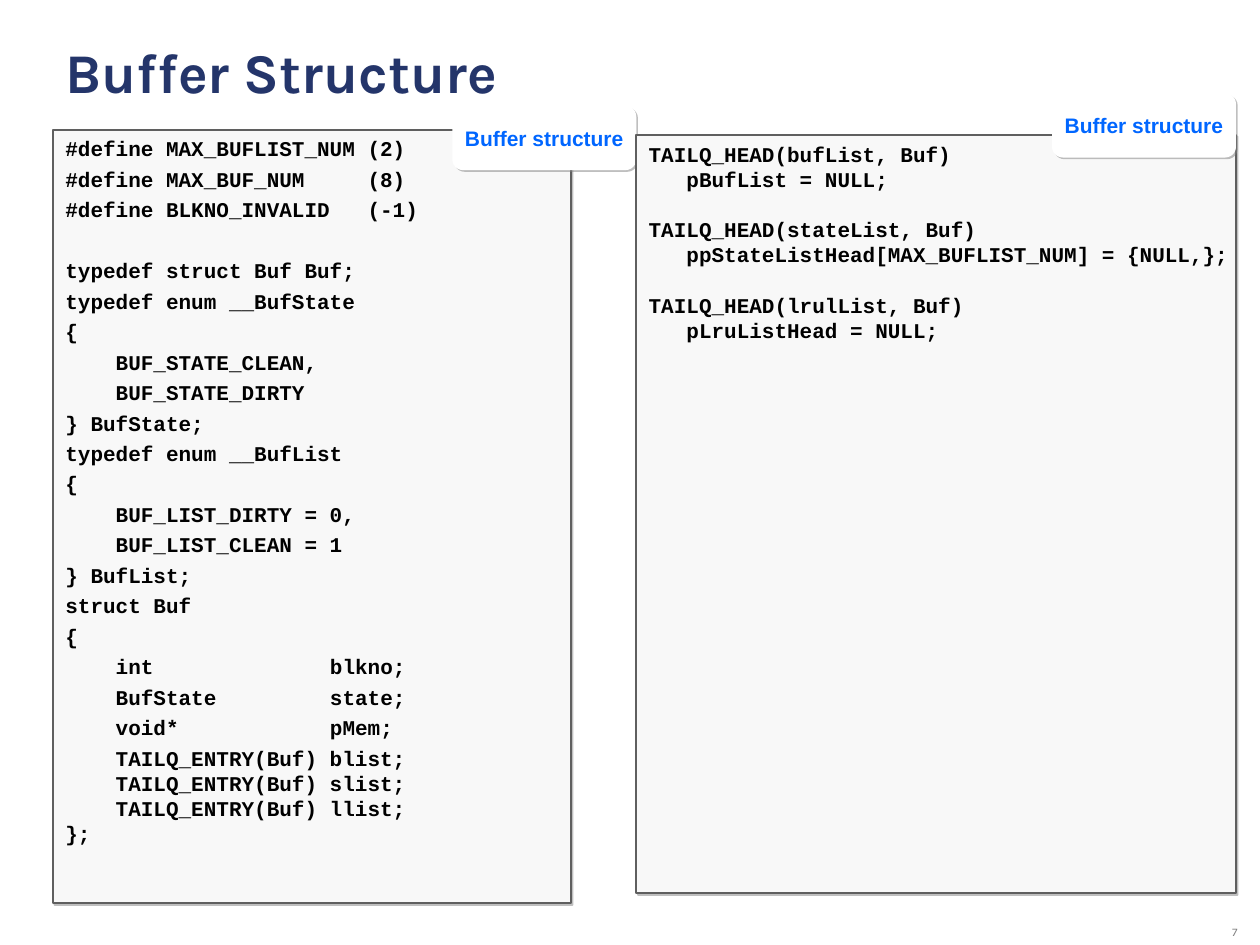
from lxml import etree
from pptx import Presentation
from pptx.dml.color import RGBColor
from pptx.enum.shapes import MSO_SHAPE
from pptx.enum.text import MSO_ANCHOR, PP_ALIGN
from pptx.oxml import parse_xml
from pptx.oxml.ns import nsdecls, qn
from pptx.util import Inches, Pt

COLOURS = {
    "title": "24356A", "code": "000000", "badge": "0066FF", "number": "808080",
    "panel": "F8F8F8", "border": "5F5F5F", "white": "FFFFFF", "shadow": "808080",
}
FORMATS = {
    "title": {"name": "Karla", "size": Pt(32), "bold": True},
    "code": {"name": "Courier New", "size": Pt(12), "bold": True},
    "badge": {"name": "Arial", "size": Pt(12), "bold": True},
    "number": {"name": "Karla", "size": Pt(6.6), "bold": False},
}
DEFINITIONS = """#define MAX_BUFLIST_NUM (2)
#define MAX_BUF_NUM     (8)
#define BLKNO_INVALID   (-1)

typedef struct Buf Buf;
typedef enum __BufState
{
    BUF_STATE_CLEAN,
    BUF_STATE_DIRTY
} BufState;
typedef enum __BufList
{
    BUF_LIST_DIRTY = 0,
    BUF_LIST_CLEAN = 1
} BufList;
struct Buf
{
    int \t\t blkno;
    BufState \t state;
    void*\t\t pMem;
    TAILQ_ENTRY(Buf) blist;
    TAILQ_ENTRY(Buf) slist;
    TAILQ_ENTRY(Buf) llist;
};"""
LIST_HEADS = """TAILQ_HEAD(bufList, Buf)
   pBufList = NULL;

TAILQ_HEAD(stateList, Buf)
   ppStateListHead[MAX_BUFLIST_NUM] = {NULL,};

TAILQ_HEAD(lrulList, Buf)
   pLruListHead = NULL;"""


class SlideBuilder:
    def __init__(self, presentation):
        self.slide = presentation.slides.add_slide(presentation.slide_layouts[5])

    def colour(self, name):
        return RGBColor.from_string(COLOURS[name])

    def add_text(self, paragraph, text, style):
        run = paragraph.add_run()
        run.text = text
        for name, value in FORMATS[style].items():
            setattr(run.font, name, value)
        run.font.color.rgb = self.colour(style)

    def title(self, text, left, top, width, height):
        shape = self.slide.shapes.title
        shape.left, shape.top = Inches(left), Inches(top)
        shape.width, shape.height = Inches(width), Inches(height)
        shape.text_frame.vertical_anchor = MSO_ANCHOR.TOP
        paragraph = shape.text_frame.paragraphs[0]
        paragraph.alignment = PP_ALIGN.LEFT
        self.add_text(paragraph, text, "title")

    def box(self, preset, fill, *bounds):
        shape = self.slide.shapes.add_shape(preset, *map(Inches, bounds))
        shape.fill.solid()
        shape.fill.fore_color.rgb = self.colour(fill)
        shape.line.fill.background()
        shape.shadow.inherit = False
        effects = shape._element.spPr.find(qn("a:effectLst"))
        effects.append(parse_xml(
            f'<a:outerShdw {nsdecls("a")} blurRad="0" dist="{Pt(1.4)}" dir="2700000" algn="ctr">'
            f'<a:srgbClr val="{COLOURS["shadow"]}"><a:alpha val="50000"/></a:srgbClr></a:outerShdw>'))
        shape.text_frame.word_wrap = False
        return shape

    def add_tabs(self, paragraph):
        tabs = etree.SubElement(paragraph._p.get_or_add_pPr(), qn("a:tabLst"))
        for inch in range(8):
            etree.SubElement(tabs, qn("a:tab"), pos=str(Inches(inch)), algn="l")

    def code(self, text, spaced_lines, *bounds):
        shape = self.box(MSO_SHAPE.RECTANGLE, "panel", *bounds)
        shape.line.color.rgb = self.colour("border")
        shape.line.width = Pt(1)
        frame = shape.text_frame
        frame.vertical_anchor = MSO_ANCHOR.TOP
        for index, line in enumerate(text.split("\n")):
            paragraph = frame.add_paragraph() if index else frame.paragraphs[0]
            self.add_tabs(paragraph)
            paragraph.alignment = PP_ALIGN.LEFT
            if 0 < index < spaced_lines:
                paragraph.space_before = Pt(3)
            if line:
                self.add_text(paragraph, line, "code")
            else:
                etree.SubElement(paragraph._p, qn("a:endParaRPr"), sz="1200")

    def badge(self, text, *bounds):
        shape = self.box(MSO_SHAPE.ROUNDED_RECTANGLE, "white", *bounds)
        shape.text_frame.vertical_anchor = MSO_ANCHOR.MIDDLE
        paragraph = shape.text_frame.paragraphs[0]
        paragraph.alignment = PP_ALIGN.CENTER
        self.add_text(paragraph, text, "badge")

    def number(self, text, *bounds):
        frame = self.slide.shapes.add_textbox(*map(Inches, bounds)).text_frame
        frame.word_wrap = True
        frame.vertical_anchor = MSO_ANCHOR.BOTTOM
        paragraph = frame.paragraphs[0]
        paragraph.alignment = PP_ALIGN.RIGHT
        paragraph.line_spacing = 0.8
        self.add_text(paragraph, text, "number")


def main():
    presentation = Presentation()
    presentation.slide_width, presentation.slide_height = Inches(10), Inches(7.5)
    builder = SlideBuilder(presentation)
    builder.number("7", 8.92, 7.25, 1, 0.25)
    builder.title("Buffer Structure", 0.42, 0.25, 9.03, 1.22)
    builder.code(DEFINITIONS, 21, 0.42, 1.03, 4.11, 6.14)
    builder.badge("Buffer structure", 3.59, 0.84, 1.46, 0.51)
    builder.code(LIST_HEADS, 0, 5.05, 1.07, 4.76, 6.02)
    builder.badge("Buffer structure", 8.35, 0.74, 1.46, 0.51)
    presentation.save("out.pptx")


if __name__ == "__main__":
    main()
